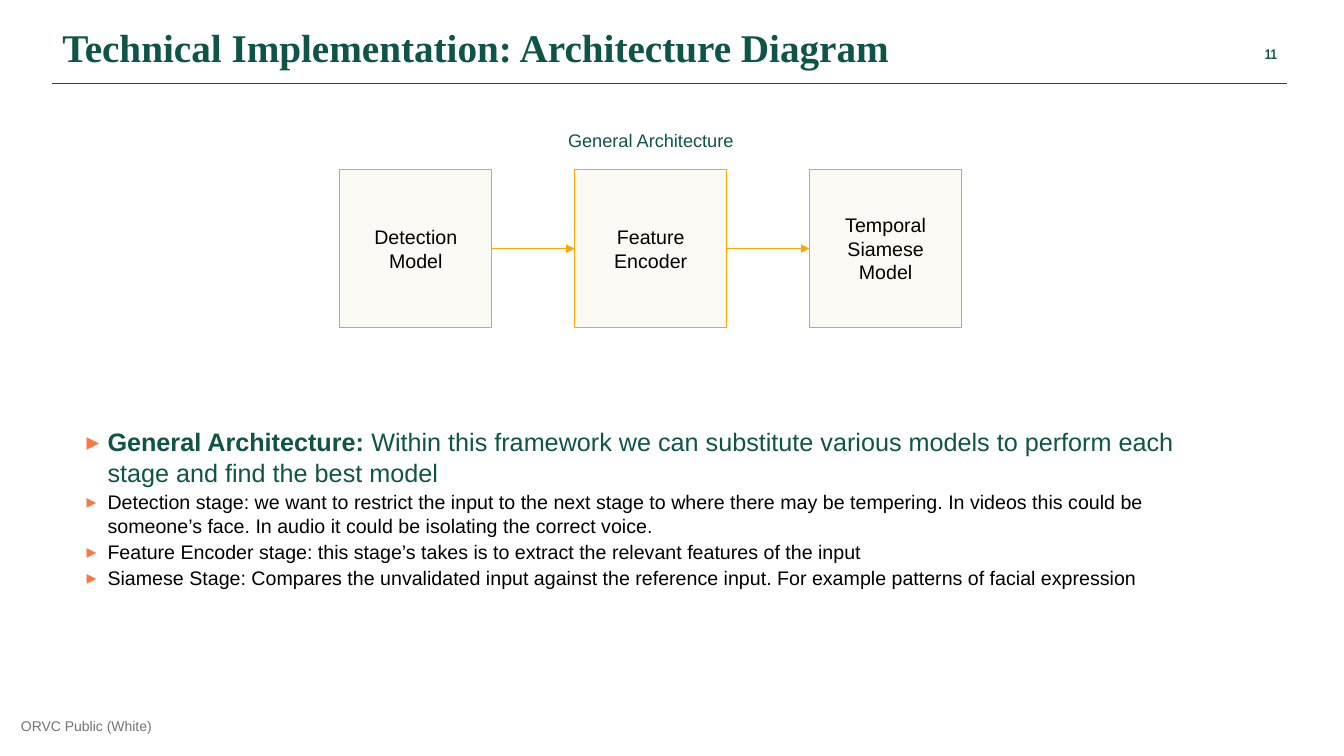
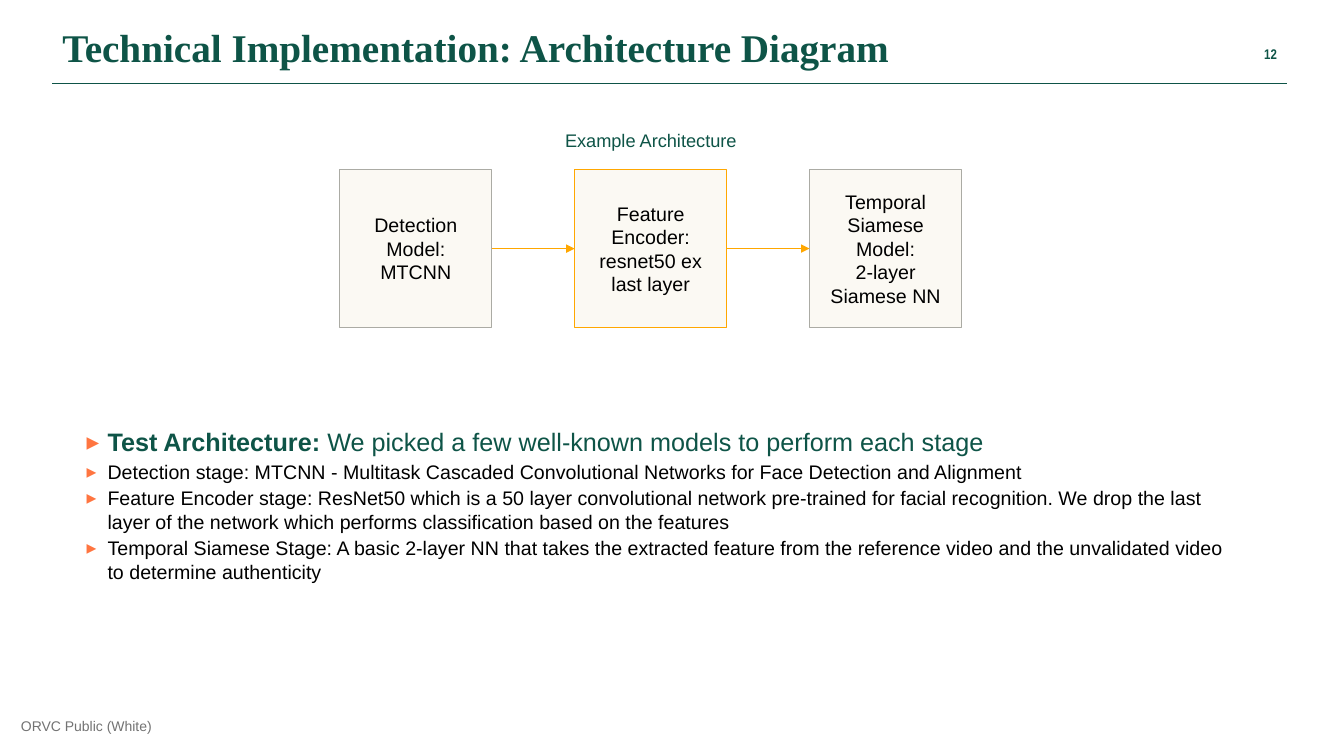
from lxml import etree
from pptx import Presentation
from pptx import util as u
from pptx.dml.color import RGBColor
from pptx.enum import shapes, text
from pptx.oxml import ns

GREEN, ORANGE, AMBER = "0E5447", "FF7540", "FFA700"
CREAM, STONE, GREY, BLACK = "FBF9F3", "ABABA4", "737373", "000000"
LEFT, CENTER, RIGHT = text.PP_ALIGN.LEFT, text.PP_ALIGN.CENTER, text.PP_ALIGN.RIGHT
TOP, MIDDLE = text.MSO_ANCHOR.TOP, text.MSO_ANCHOR.MIDDLE

STAGE_LEFT, STAGE_TOP, STAGE_WIDTH, STAGE_HEIGHT = 8.56, 4.27, 3.84, 3.99
STAGE_PITCH = 5.92
STAGE_LINES = [STONE, AMBER, STONE]

SLIDES = [
    dict(
        number="11",
        caption="General Architecture",
        stages=[["Detection Model"], ["Feature Encoder"], ["Temporal Siamese Model"]],
        lead=("General Architecture: ",
              "Within this framework we can substitute various models to perform each "
              "stage and find the best model"),
        points=[
            "Detection stage: we want to restrict the input to the next stage to where there "
            "may be tempering. In videos this could be someone’s face. In audio it could be "
            "isolating the correct voice.",
            "Feature Encoder stage: this stage’s takes is to extract the relevant features "
            "of the input",
            "Siamese Stage: Compares the unvalidated input against the reference input. "
            "For example patterns of facial expression",
        ],
    ),
    dict(
        number="12",
        caption="Example Architecture",
        stages=[["Detection Model: MTCNN"],
                ["Feature Encoder:", "resnet50 ex last layer"],
                ["Temporal Siamese Model:", "2-layer Siamese NN"]],
        lead=("Test Architecture: ",
              "We picked a few well-known models to perform each stage"),
        points=[
            "Detection stage: MTCNN - Multitask Cascaded Convolutional Networks for Face "
            "Detection and Alignment",
            "Feature Encoder stage: ResNet50 which is a 50 layer convolutional network "
            "pre-trained for facial recognition. We drop the last layer of the network which "
            "performs classification based on the features",
            "Temporal Siamese Stage: A basic 2-layer NN that takes the extracted feature from "
            "the reference video and the unvalidated video to determine authenticity",
        ],
    ),
]


def color(value):
    return RGBColor.from_string(value)


def place(shape, left, top, width, height):
    shape.left, shape.top = u.Cm(left), u.Cm(top)
    shape.width, shape.height = u.Cm(width), u.Cm(height)


def add_span(para, words, size, tint, bold=False, font="Arial"):
    span = para.add_run()
    span.text = words
    span.font.size, span.font.name, span.font.bold = u.Pt(size), font, bold
    span.font.color.rgb = color(tint)


def add_bullet(para):
    """Give a paragraph its hanging indent and coloured marker."""
    props = para._p.get_or_add_pPr()
    props.set("marL", str(u.Cm(0.53)))
    props.set("indent", str(-u.Cm(0.53)))
    tint = etree.SubElement(props, ns.qn("a:buClr"))
    etree.SubElement(tint, ns.qn("a:srgbClr")).set("val", ORANGE)
    etree.SubElement(props, ns.qn("a:buChar")).set("char", "▸")


def set_frame(shape, across=0.25, down=0.13, anchor=TOP):
    """Set wrapping, insets and anchor, and return the text frame."""
    frame = shape.text_frame
    frame.word_wrap = True
    frame.auto_size = text.MSO_AUTO_SIZE.NONE
    frame.margin_left = frame.margin_right = u.Cm(across)
    frame.margin_top = frame.margin_bottom = u.Cm(down)
    frame.vertical_anchor = anchor
    return frame


def next_para(frame, first):
    return frame.paragraphs[0] if first else frame.add_paragraph()


class SlideBuilder:
    def __init__(self, deck):
        self.deck = deck
        self.page = None

    def start(self, title, number):
        """Add a slide with the title, rule, number and footer all slides share."""
        self.page = self.deck.slides.add_slide(self.deck.slide_layouts[1])
        self.title(title)
        self.line((1.32, 2.11), (32.44, 2.11), GREEN)
        self.label(number, (28.75, 0.86, 3.68, 1.02), 10, GREEN, RIGHT,
                   bold=True, font="Arial Narrow", anchor=MIDDLE)
        self.label("ORVC Public (White)", (0.53, 18.08, 6, 0.43), 10, GREY,
                   across=0, down=0)

    def title(self, words):
        box = self.page.shapes.title
        place(box, 1.32, 0.58, 30.18, 1.63)
        para = set_frame(box).paragraphs[0]
        para.alignment, para.line_spacing = LEFT, 0.9
        add_span(para, words, 28, GREEN, True, "Times New Roman")

    def label(self, words, spot, size, tint, align=LEFT, bold=False, font="Arial", **frame):
        box = self.page.shapes.add_textbox(*map(u.Cm, spot))
        para = set_frame(box, **frame).paragraphs[0]
        para.alignment = align
        add_span(para, words, size, tint, bold, font)

    def line(self, start, end, tint):
        line = self.page.shapes.add_connector(
            shapes.MSO_CONNECTOR.STRAIGHT, *map(u.Cm, start + end))
        line.line.color.rgb = color(tint)
        line.line.width = u.Pt(0.75)
        etree.SubElement(line._element.spPr, ns.qn("a:effectLst"))
        return line

    def arrow(self, source, target):
        arrow = self.line((0, 0), (0, 0), AMBER)
        arrow.begin_connect(source, 3)
        arrow.end_connect(target, 1)
        outline = arrow.line._get_or_add_ln()
        etree.SubElement(outline, ns.qn("a:tailEnd")).set("type", "triangle")

    def stage(self, lines, left, outline):
        box = self.page.shapes.add_shape(
            shapes.MSO_SHAPE.RECTANGLE,
            *map(u.Cm, (left, STAGE_TOP, STAGE_WIDTH, STAGE_HEIGHT)))
        box.shadow.inherit = False
        box.fill.solid()
        box.fill.fore_color.rgb = color(CREAM)
        box.line.color.rgb = color(outline)
        box.line.width = u.Pt(0.75)
        frame = set_frame(box, down=0.25, anchor=MIDDLE)
        for index, words in enumerate(lines):
            para = next_para(frame, index == 0)
            para.alignment = CENTER
            add_span(para, words, 14, BLACK)
        return box

    def pipeline(self, caption, stages):
        """Draw the captioned row of stages joined by arrows."""
        boxes = [self.stage(lines, STAGE_LEFT + index * STAGE_PITCH, outline)
                 for index, (lines, outline) in enumerate(zip(stages, STAGE_LINES))]
        for source, target in zip(boxes, boxes[1:]):
            self.arrow(source, target)
        middle = STAGE_LEFT + STAGE_PITCH + STAGE_WIDTH / 2
        self.label(caption, (middle - 2.75, 3.02, 5.5, 1.04), 13, GREEN, CENTER, down=0.25)

    def bullets(self, lead, points):
        box = self.page.placeholders[1]
        place(box, 1.93, 10.62, 29.54, 5.33)
        frame = set_frame(box)
        heading, summary = lead
        rows = [[(heading, 18, GREEN, True), (summary, 18, GREEN)]]
        rows += [[(point, 14, BLACK)] for point in points]
        for index, spans in enumerate(rows):
            para = next_para(frame, index == 0)
            add_bullet(para)
            para.space_before = u.Pt(2 if index else 0)
            for span in spans:
                add_span(para, *span)


def main():
    deck = Presentation()
    deck.slide_width, deck.slide_height = u.Cm(33.87), u.Cm(19.05)
    builder = SlideBuilder(deck)
    for content in SLIDES:
        builder.start("Technical Implementation: Architecture Diagram", content["number"])
        builder.pipeline(content["caption"], content["stages"])
        builder.bullets(content["lead"], content["points"])
    deck.save("out.pptx")


if __name__ == "__main__":
    main()
